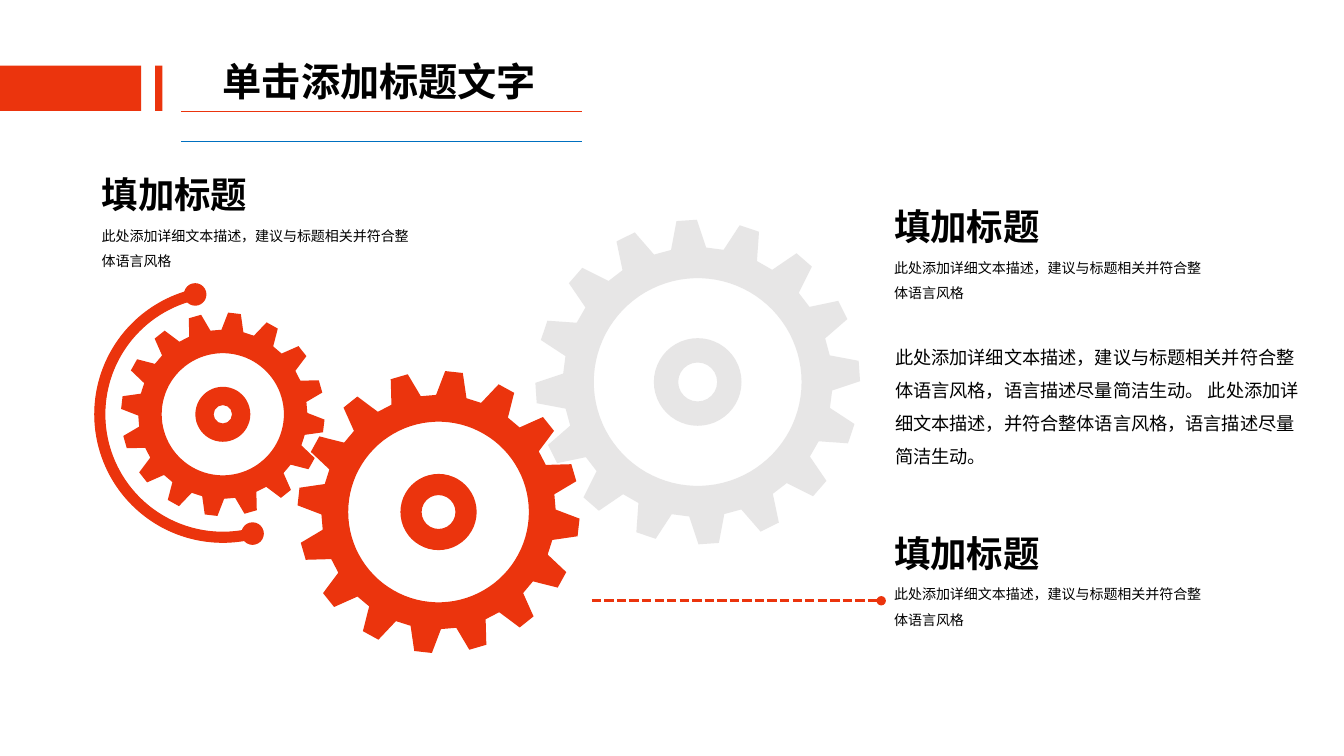
"""Build a slide of three meshing gears with captions around them."""
from math import cos, pi, radians, sin

from lxml import etree
from pptx import Presentation
from pptx.dml.color import RGBColor
from pptx.enum.dml import MSO_LINE
from pptx.enum.shapes import MSO_CONNECTOR, MSO_SHAPE
from pptx.enum.text import MSO_ANCHOR, MSO_AUTO_SIZE, PP_ALIGN
from pptx.oxml.ns import qn
from pptx.util import Inches, Pt

GRID = Inches(1)
COLUMNS, ROWS = 13.33, 7.5
TITLE_ONLY = 5
RECTANGLE, OVAL = MSO_SHAPE.RECTANGLE, MSO_SHAPE.OVAL
DONUT, BLOCK_ARC = MSO_SHAPE.DONUT, MSO_SHAPE.BLOCK_ARC
STRAIGHT = MSO_CONNECTOR.STRAIGHT
SYS_DASH = MSO_LINE.SQUARE_DOT
TOP, LEFT = MSO_ANCHOR.TOP, PP_ALIGN.LEFT
FIT_TEXT = MSO_AUTO_SIZE.SHAPE_TO_FIT_TEXT

THEME = {
    "font": "Noto Sans CJK SC",
    "ink": RGBColor.from_string("000000"),
    "red": RGBColor.from_string("EB340D"),
    "grey": RGBColor.from_string("E7E6E6"),
    "blue": RGBColor.from_string("0070C0"),
    "title": Pt(28),
    "heading": Pt(26),
    "summary": Pt(13),
    "caption": Pt(10),
}

TEETH = 16
TIP_HALF, ROOT_HALF = radians(3.6), radians(7.5)
ROOT_SHARE, HUB_SHARE = 0.83, 0.27
RIM_STEPS = 90

CAPTION = "此处添加详细文本描述，建议与标题相关并符合整体语言风格"
SUMMARY = (CAPTION + "，语言描述尽量简洁生动。 "
           "此处添加详细文本描述，并符合整体语言风格，语言描述尽量简洁生动。")


def write(holder, text, size, bold=False, wrap=True, spacing=1.0):
    frame = holder.text_frame
    frame.text = text
    frame.word_wrap = wrap
    frame.auto_size = FIT_TEXT
    frame.vertical_anchor = TOP
    paragraph = frame.paragraphs[0]
    paragraph.alignment = LEFT
    paragraph.line_spacing = spacing
    font = paragraph.font
    font.size, font.bold, font.name = THEME[size], bold, THEME["font"]
    font.color.rgb = THEME["ink"]
    defaults = paragraph._p.pPr.find(qn("a:defRPr"))
    etree.SubElement(defaults, qn("a:ea"), typeface=THEME["font"])


def paint(shape, color, outline=None):
    shape.shadow.inherit = False
    shape.fill.solid()
    shape.fill.fore_color.rgb = THEME[color]
    if outline:
        shape.line.color.rgb = THEME[color]
        shape.line.width = Pt(outline)
    else:
        shape.line.fill.background()


deck = Presentation()
deck.slide_width, deck.slide_height = int(COLUMNS * GRID), int(ROWS * GRID)
slide = deck.slides.add_slide(deck.slide_layouts[TITLE_ONLY])
shapes = slide.shapes

title = shapes.title
title.left, title.top, title.width, title.height = (
    int(n * GRID) for n in (2.11, 0.52, 3.34, 0.57))
write(title, "单击添加标题文字", "title", bold=True, wrap=False)

for left, width in ((1.54, 0.07), (0, 1.4)):
    bar = shapes.add_shape(RECTANGLE, *(int(n * GRID) for n in (left, 0.65, width, 0.45)))
    paint(bar, "red")

for start, end, level, color, weight in (
    (1.8, 5.77, 1.1, "red", 0.5),
    (1.8, 5.77, 1.4, "blue", 0.5),
    (5.87, 8.74, 5.96, "red", 2.25),
):
    rule = shapes.add_connector(STRAIGHT, *(int(n * GRID) for n in (start, level, end, level)))
    rule.line.color.rgb = THEME[color]
    rule.line.width = Pt(weight)
    etree.SubElement(rule._element.spPr, qn("a:effectLst"))
leader = rule
leader.line.dash_style = SYS_DASH
etree.SubElement(leader.line._get_or_add_ln(), qn("a:tailEnd"), type="oval")

for x, y, radius, rim_share, bore_share, first_tooth, color in (
    (6.92, 3.79, 1.61, 0.64, 0.12, -3.9, "grey"),
    (4.35, 5.08, 1.4, 0.64, 0.12, 6.3, "red"),
    (2.21, 4.11, 1.01, 0.6, 0.09, 6.6, "red"),
):
    teeth = []
    for tooth in range(TEETH):
        middle = radians(first_tooth) + tooth * 2 * pi / TEETH
        teeth += [(ROOT_SHARE, middle - ROOT_HALF), (1, middle - TIP_HALF),
                  (1, middle + TIP_HALF), (ROOT_SHARE, middle + ROOT_HALF)]
    rim = [(rim_share, -step * 2 * pi / RIM_STEPS) for step in range(RIM_STEPS)]
    outline, opening = (
        [((x + share * radius * cos(angle)) * GRID, (y + share * radius * sin(angle)) * GRID)
         for share, angle in ring] for ring in (teeth, rim))
    builder = shapes.build_freeform(*outline[0])
    builder.add_line_segments(outline[1:])
    builder.move_to(*opening[0])
    builder.add_line_segments(opening[1:])
    paint(builder.convert_to_shape(), color)

    hub_radius = HUB_SHARE * radius
    hub = shapes.add_shape(DONUT, *(int(n * GRID) for n in (
        x - hub_radius, y - hub_radius, 2 * hub_radius, 2 * hub_radius)))
    hub.adjustments[0] = (1 - bore_share / HUB_SHARE) / 2
    paint(hub, color)

ARC_X, ARC_Y, ARC_RADIUS, ARC_BAND, DOT_RADIUS = 2.21, 4.11, 1.27, 0.1, 0.105
ARC_ENDS = (76, 257)
arc = shapes.add_shape(BLOCK_ARC, *(int(n * GRID) for n in (
    ARC_X - ARC_RADIUS, ARC_Y - ARC_RADIUS, 2 * ARC_RADIUS, 2 * ARC_RADIUS)))
for index, degrees in enumerate(ARC_ENDS):
    arc.adjustments[index] = degrees * 0.6
arc.adjustments[2] = ARC_BAND / (2 * ARC_RADIUS)
paint(arc, "red", 0.75)
for degrees in ARC_ENDS:
    reach = ARC_RADIUS - ARC_BAND / 2
    dot = shapes.add_shape(OVAL, *(int(n * GRID) for n in (
        ARC_X + reach * cos(radians(degrees)) - DOT_RADIUS,
        ARC_Y + reach * sin(radians(degrees)) - DOT_RADIUS,
        2 * DOT_RADIUS, 2 * DOT_RADIUS)))
    paint(dot, "red", 1)

for left, top in ((0.91, 1.66), (8.77, 1.98), (8.77, 5.22)):
    heading = shapes.add_textbox(*(int(n * GRID) for n in (left, top, 1.67, 0.54)))
    write(heading, "填加标题", "heading", bold=True, wrap=False)
    caption = shapes.add_textbox(*(int(n * GRID) for n in (left, top + 0.46, 3.25, 0.57)))
    write(caption, CAPTION, "caption", spacing=1.5)

summary = shapes.add_textbox(*(int(n * GRID) for n in (8.78, 3.28, 4.27, 1.75)))
write(summary, SUMMARY, "summary", spacing=1.5)

deck.save("out.pptx")
